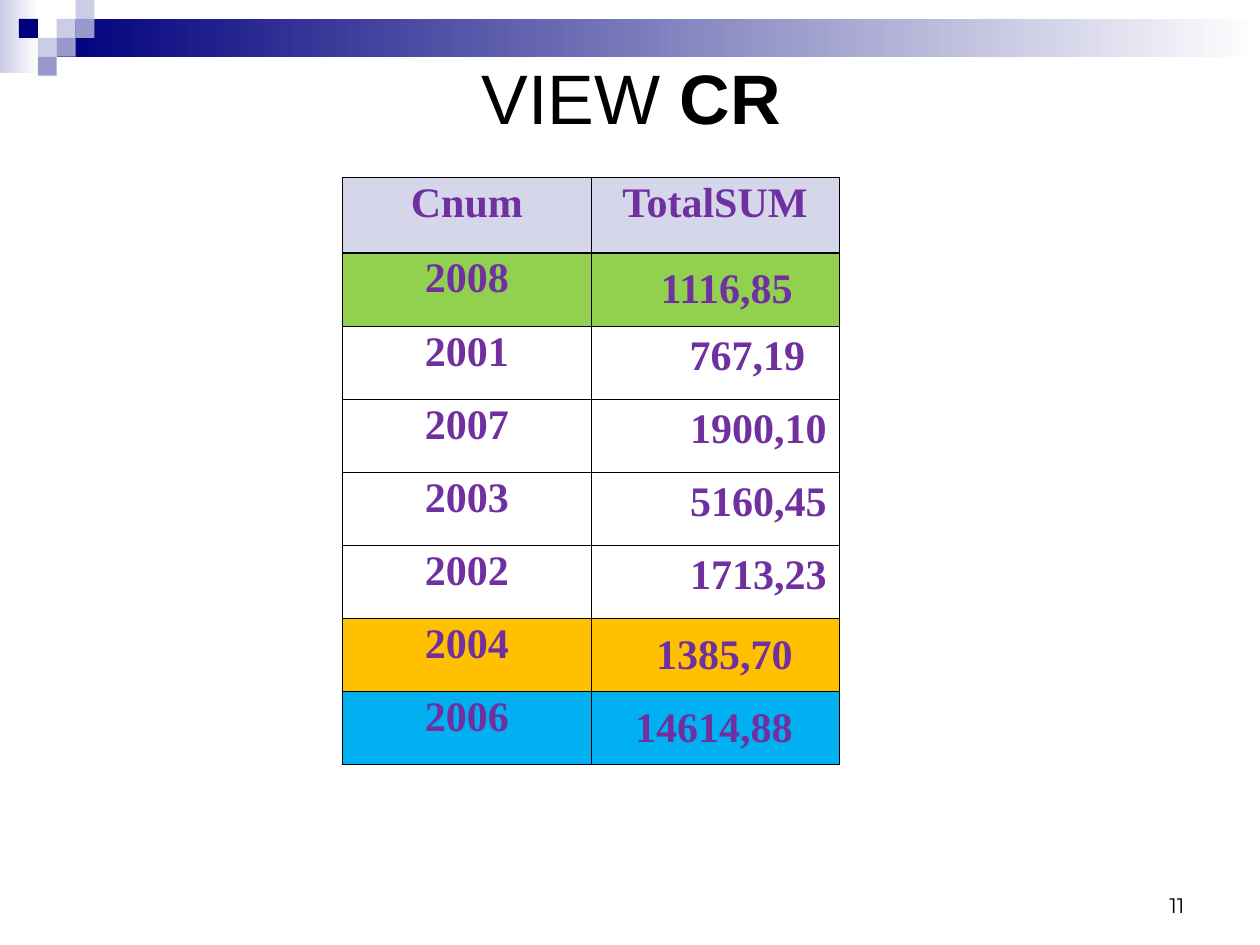
from pptx import Presentation, util as u
from pptx.dml.color import RGBColor
from pptx.enum import shapes, text
from pptx.oxml import parse_xml
from pptx.oxml.ns import nsdecls

INCH = u.Inches
MID, TOP, LOW = (text.MSO_ANCHOR.MIDDLE, text.MSO_ANCHOR.TOP,
                 text.MSO_ANCHOR.BOTTOM)
MID_AL, RIGHT = text.PP_ALIGN.CENTER, text.PP_ALIGN.RIGHT
NAVY, LILAC, MAUVE = "00007D", "CCCCE6", "9999CC"
WHITE, BLACK, PURPLE = "FFFFFF", "000000", "7030A0"
HEAD, GREEN, AMBER, BLUE = "D6D6EB", "92D050", "FFC000", "00B0F0"


def color(code):
    return RGBColor.from_string(code)


class Deck:
    def __init__(self):
        self.prs = Presentation()
        self.prs.slide_width, self.prs.slide_height = INCH(10), INCH(7.5)
        self.slide = self.prs.slides.add_slide(self.prs.slide_layouts[6])

    def rect(self, box, *fill):
        """One colour gives a solid fill, two a left-to-right gradient."""
        shape = self.slide.shapes.add_shape(
            shapes.MSO_SHAPE.RECTANGLE, *map(INCH, box))
        shape.shadow.inherit = False
        shape.line.fill.background()
        if len(fill) == 1:
            shape.fill.solid()
            shape.fill.fore_color.rgb = color(fill[0])
        else:
            shape.fill.gradient()
            shape.fill.gradient_angle = 0
            for stop, place, code in zip(shape.fill.gradient_stops, (0, 1), fill):
                stop.position = place
                stop.color.rgb = color(code)

    def style(self, run, font, size, code, bold=False):
        run.font.name, run.font.size, run.font.bold = font, u.Pt(size), bold
        run.font.color.rgb = color(code)

    def label(self, box, parts, font, size, align, anchor):
        """Parts are (words, bold) pairs on one line."""
        frame = self.slide.shapes.add_textbox(*map(INCH, box)).text_frame
        frame.word_wrap, frame.vertical_anchor = True, anchor
        para = frame.paragraphs[0]
        para.alignment = align
        for words, bold in parts:
            run = para.add_run()
            run.text = words
            self.style(run, font, size, BLACK, bold)

    def border(self, cell, top):
        props = cell._tc.get_or_add_tcPr()
        for spot, side in enumerate("LRTB"):
            width = u.Pt(top if side == "T" else 0.45)
            props.insert(spot, parse_xml(
                f'<a:ln{side} {nsdecls("a")} w="{int(width)}"><a:solidFill>'
                f'<a:srgbClr val="{BLACK}"/></a:solidFill></a:ln{side}>'))

    def cell(self, cell, words, fill, align, anchor, right, top):
        cell.text_frame.text = words
        cell.vertical_anchor = anchor
        cell.margin_right = INCH(right)
        if right > 0.1:
            cell.margin_left = INCH(0.01)
        para = cell.text_frame.paragraphs[0]
        para.alignment = align
        if align == MID_AL:
            para.line_spacing = 0.9
        self.style(para.runs[0], "Times New Roman", 24, PURPLE, True)
        if fill:
            cell.fill.solid()
            cell.fill.fore_color.rgb = color(fill)
        else:
            cell.fill.background()
        self.border(cell, top)

    def table(self, box, rows):
        """Rows are (key, sum, fill, right inset of the sum)."""
        grid = self.slide.shapes.add_table(len(rows), 2, *map(INCH, box)).table
        grid.first_row = grid.horz_banding = False
        for at, (key, total, fill, right) in enumerate(rows):
            grid.rows[at].height = INCH(0.58 if at else 0.6)
            top = 0.96 if at < 2 else 0.45
            self.cell(grid.cell(at, 0), key, fill, MID_AL, TOP, 0.1, top)
            self.cell(grid.cell(at, 1), total, fill, RIGHT if at else MID_AL,
                      MID if at and fill else TOP, right, top)


def main():
    deck = Deck()
    deck.rect((0, 0, 0.31, 0.58), LILAC, WHITE)
    deck.rect((0.45, 0.15, 9.55, 0.3), NAVY, WHITE)
    step = 0.15
    for col, row, fill in [(3, 1, LILAC), (4, 0, LILAC), (4, 1, MAUVE),
                           (2, 2, LILAC), (1, 1, NAVY), (3, 2, MAUVE),
                           (2, 3, MAUVE)]:
        deck.rect((col * step, row * step, step, step), fill)

    deck.label((0.51, 0.36, 9, 0.81), [("VIEW ", False), ("CR", True)],
               "Arial", 40, MID_AL, MID)
    deck.table((2.72, 1.41, 3.94, 4.68), [
        ("Cnum", "TotalSUM", HEAD, 0.1),
        ("2008", "1116,85", GREEN, 0.37),
        ("2001", "767,19", None, 0.27),
        ("2007", "1900,10", None, 0.1),
        ("2003", "5160,45", None, 0.1),
        ("2002", "1713,23", None, 0.1),
        ("2004", "1385,70", AMBER, 0.37),
        ("2006", "14614,88", BLUE, 0.37),
    ])
    deck.label((7.17, 6.83, 2.33, 0.5), [("11", False)],
               "Montserrat", 12, RIGHT, LOW)
    deck.prs.save("out.pptx")


if __name__ == "__main__":
    main()
